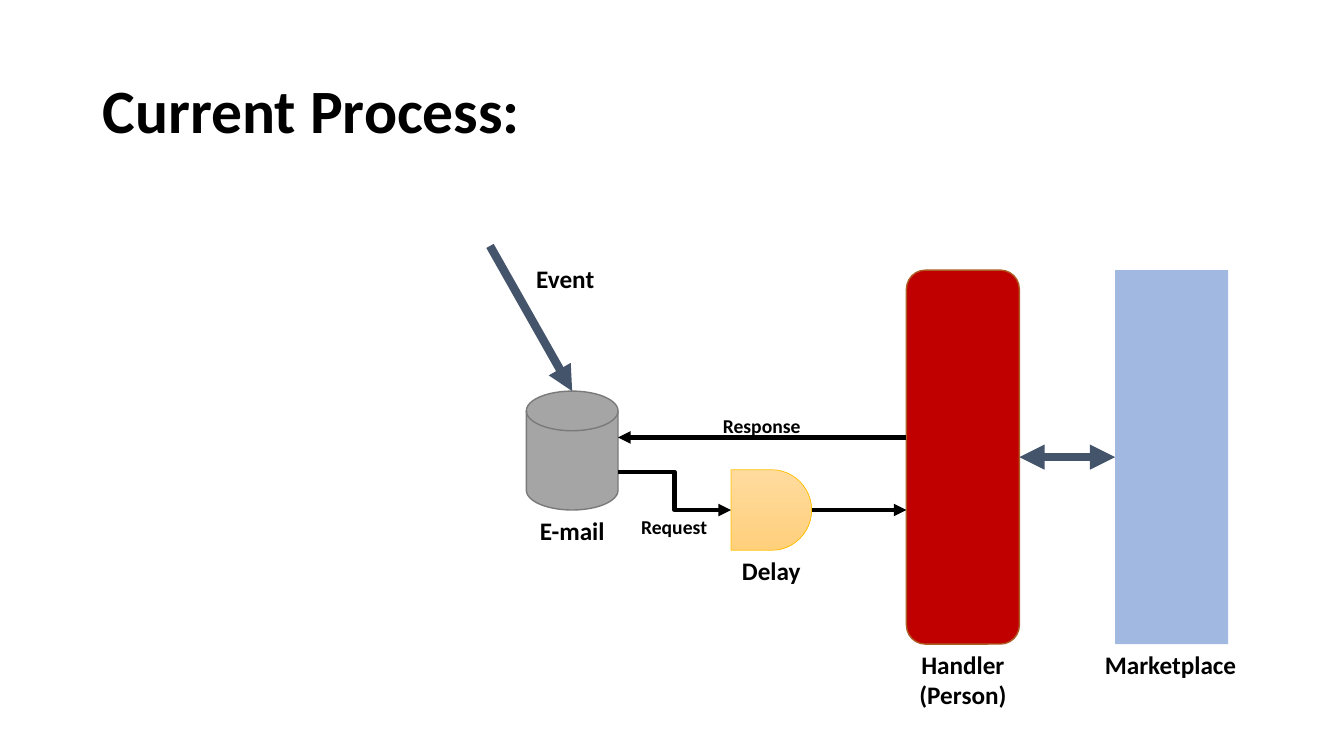
from lxml import etree
from pptx import Presentation
from pptx import util as u
from pptx.dml.color import RGBColor
from pptx.enum import shapes, text
from pptx.oxml import ns

BLACK = RGBColor(0x00, 0x00, 0x00)
RED = RGBColor(0xC0, 0x00, 0x00)
BROWN = RGBColor(0xAF, 0x5C, 0x24)
BLUE = RGBColor(0x44, 0x72, 0xC4)
SLATE = RGBColor(0x44, 0x54, 0x6A)
GRAY = RGBColor(0xA5, 0xA5, 0xA5)
DARK_GRAY = RGBColor(0x7A, 0x7A, 0x7A)
GOLD = RGBColor(0xFF, 0xC0, 0x00)
LIGHT_GOLD = RGBColor(0xFF, 0xDB, 0x9E)
MID_GOLD = RGBColor(0xFF, 0xD0, 0x7C)

AUTO_SHAPE = shapes.MSO_SHAPE
CONNECTOR = shapes.MSO_CONNECTOR


class Diagram:
    """Draws styled elements on one slide."""

    font = "Calibri"

    def __init__(self, slide):
        self.slide = slide

    def label(self, lines, left, top, width, height, size=18, centered=True):
        shape = self.slide.shapes.add_textbox(*map(u.Inches, (left, top, width, height)))
        frame = shape.text_frame
        frame.word_wrap = centered
        for index, line in enumerate(lines):
            paragraph = frame.add_paragraph() if index else frame.paragraphs[0]
            paragraph.alignment = text.PP_ALIGN.CENTER if centered else text.PP_ALIGN.LEFT
            run = paragraph.add_run()
            run.text = line
            run.font.name = self.font
            run.font.size = u.Pt(size)
            run.font.bold = True
            run.font.color.rgb = BLACK
        return shape

    def title(self, line, left, top, width, height):
        frame = self.label([line], left, top, width, height, 44, centered=False).text_frame
        frame.word_wrap = True
        frame.vertical_anchor = text.MSO_ANCHOR.MIDDLE
        frame.paragraphs[0].line_spacing = 0.9

    def node(self, kind, left, top, width, height, fills, line=None, weight=1, opacity=100):
        shape = self.slide.shapes.add_shape(kind, *map(u.Inches, (left, top, width, height)))
        shape.shadow.inherit = False
        if len(fills) > 1:
            shape.fill.gradient()
            shape.fill.gradient_angle = 270
            for stop, color in zip(shape.fill.gradient_stops, fills):
                stop.color.rgb = color
        else:
            shape.fill.solid()
            shape.fill.fore_color.rgb = fills[0]
        if opacity < 100:
            color = shape.fill._xPr.find(".//" + ns.qn("a:srgbClr"))
            etree.SubElement(color, ns.qn("a:alpha"), val=str(opacity * 1000))
        if line is None:
            shape.line.fill.background()
        else:
            shape.line.color.rgb = line
            shape.line.width = u.Pt(weight)

    def arrow(self, start, end, color=BLACK, weight=3, kind=CONNECTOR.STRAIGHT, ends=("tailEnd",)):
        connector = self.slide.shapes.add_connector(kind, *map(u.Inches, (*start, *end)))
        connector.line.color.rgb = color
        connector.line.width = u.Pt(weight)
        outline = connector.line._get_or_add_ln()
        for tag in ends:
            etree.SubElement(outline, ns.qn("a:" + tag), type="triangle")
        etree.SubElement(connector._element.spPr, ns.qn("a:effectLst"))


def main():
    presentation = Presentation()
    presentation.slide_width = u.Inches(13.33)
    presentation.slide_height = u.Inches(7.5)
    diagram = Diagram(presentation.slides.add_slide(presentation.slide_layouts[6]))

    diagram.title("Current Process:", 0.92, 0.4, 5.26, 1.45)

    # Shared edges of the process
    email_left, email_right, email_top, email_bottom = 5.22, 6.13, 3.88, 5.06
    delay_left, delay_size = 7.25, 0.8
    delay_right, delay_top = delay_left + delay_size, 4.66
    request_y, response_y = 5.06, 4.34
    handler_left, market_left = 8.99, 11.06
    column_top, column_width, column_height = 2.68, 1.12, 3.71
    column_bottom = column_top + column_height
    column_middle = column_top + column_height / 2

    # Handler and marketplace columns
    diagram.node(AUTO_SHAPE.FLOWCHART_ALTERNATE_PROCESS, handler_left, column_top,
                 column_width, column_height, [RED], BROWN)
    diagram.label(["Handler", "(Person)"], handler_left, column_bottom, column_width, 0.71)
    diagram.label(["Marketplace"], 10.81, column_bottom, 1.6, 0.4)
    diagram.node(AUTO_SHAPE.RECTANGLE, market_left, column_top,
                 column_width, column_height, [BLUE], opacity=50)
    diagram.arrow((handler_left + column_width, column_middle), (market_left, column_middle),
                  SLATE, 6, ends=("headEnd", "tailEnd"))

    # E-mail store and delay
    email_width = email_right - email_left
    diagram.node(AUTO_SHAPE.FLOWCHART_MAGNETIC_DISK, email_left, email_top,
                 email_width, email_bottom - email_top, [GRAY], DARK_GRAY)
    diagram.label(["E-mail"], email_left, email_bottom, email_width, 0.4)
    diagram.node(AUTO_SHAPE.FLOWCHART_DELAY, delay_left, delay_top, delay_size, delay_size,
                 [LIGHT_GOLD, MID_GOLD], GOLD, 0.5)
    diagram.label(["Delay"], delay_left, delay_top + delay_size, delay_size, 0.4)

    # Request and response
    diagram.arrow((email_right, 4.68), (delay_left, request_y), kind=CONNECTOR.ELBOW)
    diagram.arrow((delay_right, request_y), (handler_left, request_y))
    diagram.arrow((handler_left, response_y), (email_right, response_y))
    diagram.label(["Request"], 6.26, 5.06, 0.86, 0.34, 14, centered=False)
    diagram.label(["Response"], 7.07, 4.06, 0.98, 0.34, 14, centered=False)

    # Incoming event
    diagram.arrow((4.86, 2.44), (email_left + email_width / 2, email_top), SLATE, 6)
    diagram.label(["Event"], 5.22, 2.56, 0.78, 0.4, centered=False)

    presentation.save("out.pptx")


if __name__ == "__main__":
    main()
